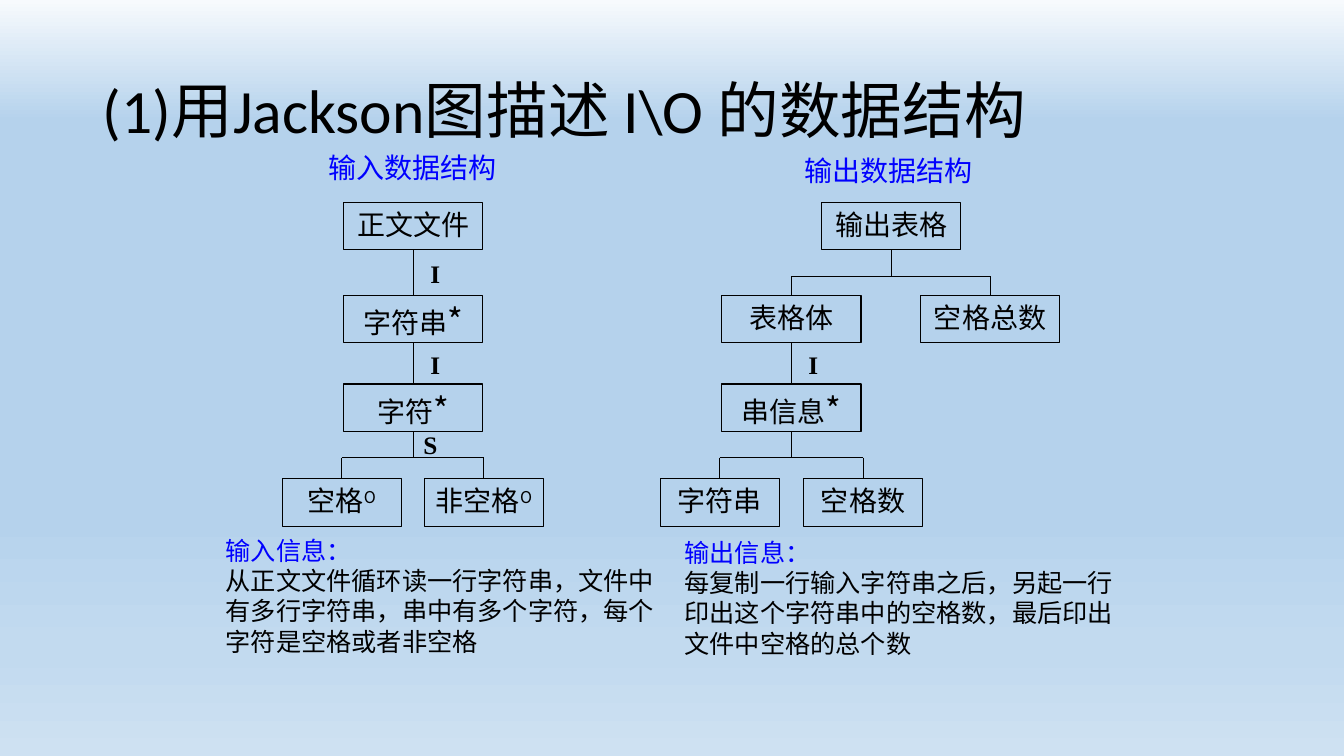
from copy import deepcopy

from lxml import etree
from pptx import Presentation
from pptx.dml.color import RGBColor
from pptx.enum.shapes import MSO_CONNECTOR, MSO_SHAPE
from pptx.enum.text import MSO_ANCHOR, PP_ALIGN
from pptx.oxml.ns import qn
from pptx.util import Inches, Pt

BLACK = RGBColor(0x00, 0x00, 0x00)
BLUE = RGBColor(0x00, 0x00, 0xFF)
SKY = [(0, RGBColor(0xF7, 0xFA, 0xFD)), (0.16, RGBColor(0xB5, 0xD2, 0xEC)),
       (0.71, RGBColor(0xB8, 0xD4, 0xED)), (0.86, RGBColor(0xC2, 0xDA, 0xEF)),
       (1, RGBColor(0xCE, 0xE1, 0xF2))]
STRAIGHT = MSO_CONNECTOR.STRAIGHT
RECTANGLE = MSO_SHAPE.RECTANGLE
CENTER = PP_ALIGN.CENTER
MIDDLE = MSO_ANCHOR.MIDDLE
CJK = "Noto Sans CJK SC"
BOTTOM_SIDE, TOP_SIDE = 2, 0


def add_span(para, text, size, color=BLACK, font=CJK):
    span = para.add_run()
    span.text = text
    span.font.size = Pt(size)
    span.font.color.rgb = color
    span.font.name = font
    east_asian = etree.SubElement(span.font._element, qn("a:ea"))
    east_asian.set("typeface", CJK)
    return span


def add_line(x1, y1, x2, y2, parent=None, child=None):
    line = page.shapes.add_connector(
        STRAIGHT, Inches(x1), Inches(y1), Inches(x2), Inches(y2))
    line.line.color.rgb = BLACK
    line.line.width = Pt(0.75)
    etree.SubElement(line._element.spPr, qn("a:effectLst"))
    if parent is not None:
        line.begin_connect(parent, BOTTOM_SIDE)
    if child is not None:
        line.end_connect(child, TOP_SIDE)


deck = Presentation()
deck.slide_width = Inches(13.33)
deck.slide_height = Inches(7.5)
page = deck.slides.add_slide(deck.slide_layouts[6])

# Background gradient, top to bottom
sky = page.background.fill
sky.gradient()
sky.gradient_angle = 270
stop_list = page._element.find(".//" + qn("a:gsLst"))
while len(stop_list) < len(SKY):
    stop_list.append(deepcopy(stop_list[0]))
for stop, (position, color) in zip(sky.gradient_stops, SKY):
    stop.position = position
    stop.color.rgb = color

# Title
box = page.shapes.add_textbox(Inches(0.92), Inches(0.4), Inches(11.5), Inches(1.45))
box.text_frame.word_wrap = True
box.text_frame.vertical_anchor = MIDDLE
para = box.text_frame.paragraphs[0]
para.line_spacing = 0.9
add_span(para, "(1)用Jackson图描述 I\\O 的数据结构", 44, font="Calibri")

# Tree nodes: key, text, mark, centre, row
ROW_TOPS = [2.01, 2.93, 3.81, 4.75]
NODE_HEIGHT = 0.47
NODES = [
    ("text file", "正文文件", "", 4.1, 0),
    ("line", "字符串", "*", 4.1, 1),
    ("character", "字符", "*", 4.1, 2),
    ("space", "空格", "O", 3.39, 3),
    ("non-space", "非空格", "O", 4.8, 3),
    ("output table", "输出表格", "", 8.84, 0),
    ("table body", "表格体", "", 7.85, 1),
    ("space total", "空格总数", "", 9.82, 1),
    ("line info", "串信息", "*", 7.85, 2),
    ("string", "字符串", "", 7.14, 3),
    ("space count", "空格数", "", 8.56, 3),
]
nodes = {}
for key, text, mark, center, row in NODES:
    width = 1.18 if row == 3 else 1.38
    node = page.shapes.add_shape(
        RECTANGLE, Inches(center - width / 2), Inches(ROW_TOPS[row]),
        Inches(width), Inches(NODE_HEIGHT))
    node.shadow.inherit = False
    node.fill.background()
    node.line.color.rgb = BLACK
    node.line.width = Pt(0.75)
    frame = node.text_frame
    frame.word_wrap = True
    frame.vertical_anchor = MSO_ANCHOR.TOP
    frame.margin_left = frame.margin_right = Inches(0.02)
    frame.margin_top, frame.margin_bottom = Inches(0.05), Inches(0.01)
    para = frame.paragraphs[0]
    para.alignment = CENTER
    add_span(para, text, 20)
    if mark:
        span = add_span(para, mark, 24 if mark == "*" else 20)
        if mark == "O":
            span.font._element.set("baseline", "30000")
    nodes[key] = (node, center, ROW_TOPS[row])

# Direct links
for parent_key, child_key in [("text file", "line"), ("line", "character"),
                              ("table body", "line info")]:
    parent, x, parent_top = nodes[parent_key]
    child, child_x, child_top = nodes[child_key]
    add_line(x, parent_top + NODE_HEIGHT, child_x, child_top, parent, child)

# Branches: stem, bar and one drop for each child
for parent_key, child_keys, bar in [
        ("character", ("space", "non-space"), 4.54),
        ("output table", ("table body", "space total"), 2.74),
        ("line info", ("string", "space count"), 4.54)]:
    parent, x, parent_top = nodes[parent_key]
    add_line(x, parent_top + NODE_HEIGHT, x, bar, parent)
    add_line(nodes[child_keys[0]][1], bar, nodes[child_keys[1]][1], bar)
    for child_key in child_keys:
        child, child_x, child_top = nodes[child_key]
        add_line(child_x, bar, child_x, child_top, child=child)

# Link labels
for letter, left, top in [("I", 4.17, 2.51), ("I", 4.17, 3.42),
                          ("S", 4.1, 4.21), ("I", 7.92, 3.42)]:
    box = page.shapes.add_textbox(Inches(left), Inches(top), Inches(0.5), Inches(0.4))
    box.text_frame.word_wrap = True
    span = add_span(box.text_frame.paragraphs[0], letter, 18, font="Times New Roman")
    span.font.bold = True

# Tree headings
for heading, left, top, width in [("输入数据结构", 3.03, 1.44, 2.12),
                                  ("输出数据结构", 7.8, 1.47, 2.02)]:
    box = page.shapes.add_textbox(Inches(left), Inches(top), Inches(width), Inches(0.44))
    box.text_frame.word_wrap = True
    para = box.text_frame.paragraphs[0]
    para.alignment = CENTER
    add_span(para, heading, 20, BLUE)

# Explanations
for heading, body, left, top, width in [
        ("输入信息：",
         "从正文文件循环读一行字符串，文件中有多行字符串，串中有多个字符，每个字符是空格或者非空格",
         2.14, 5.26, 4.56),
        ("输出信息：",
         "每复制一行输入字符串之后，另起一行印出这个字符串中的空格数，最后印出文件中空格的总个数",
         6.69, 5.28, 4.45)]:
    box = page.shapes.add_textbox(Inches(left), Inches(top), Inches(width), Inches(1.31))
    box.text_frame.word_wrap = True
    add_span(box.text_frame.paragraphs[0], heading, 18, BLUE)
    add_span(box.text_frame.add_paragraph(), body, 18)

deck.save("out.pptx")
